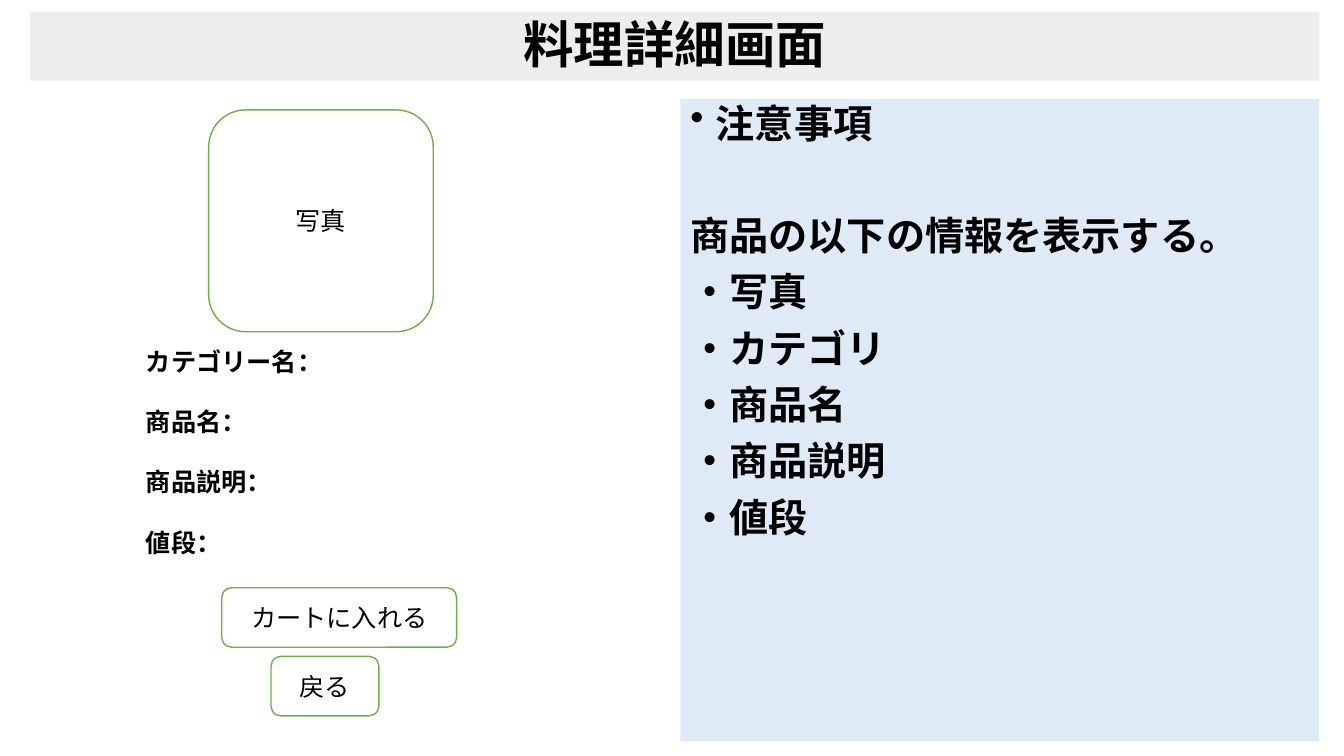
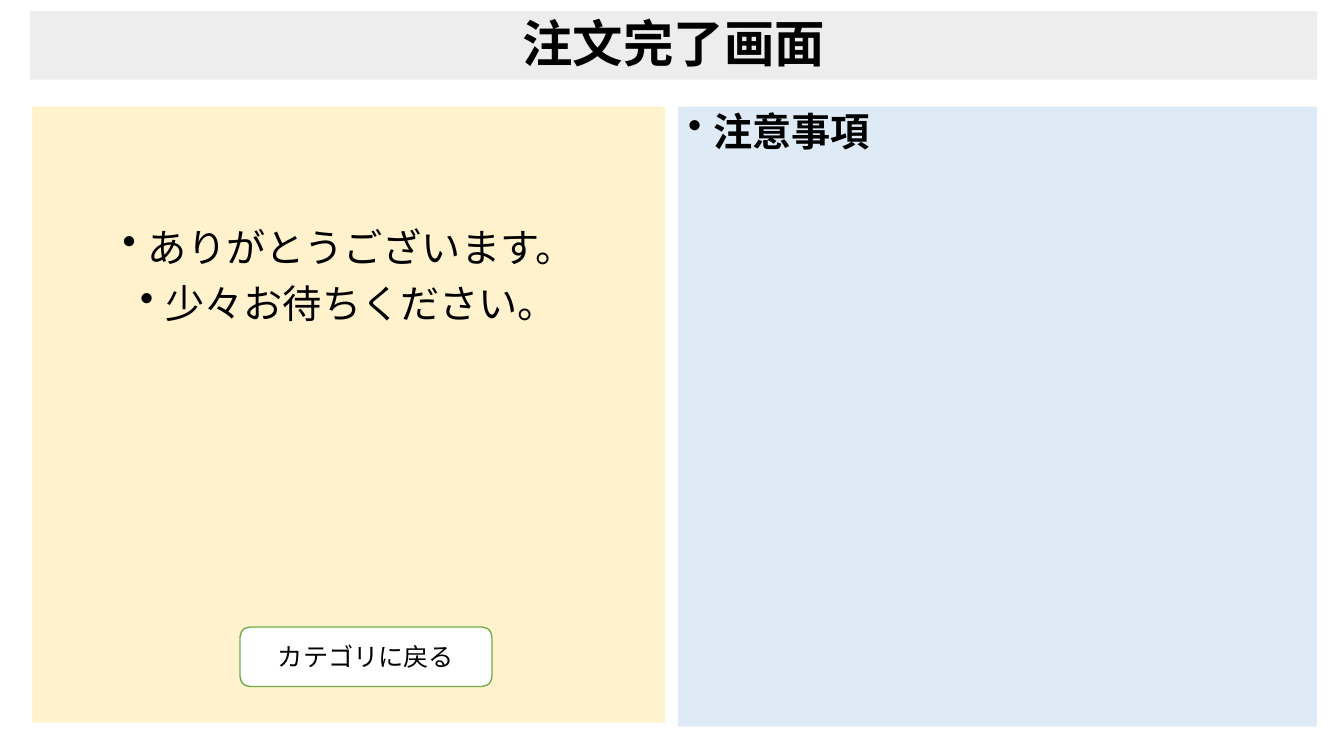
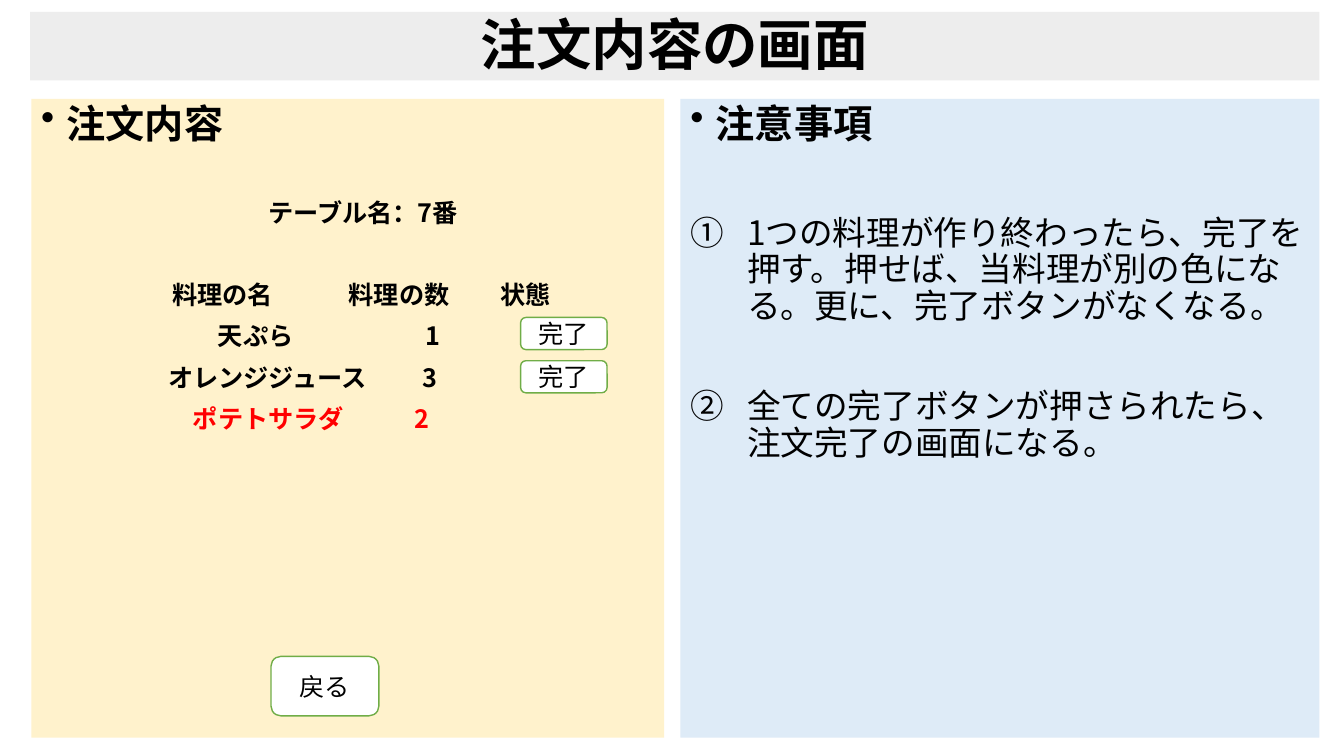
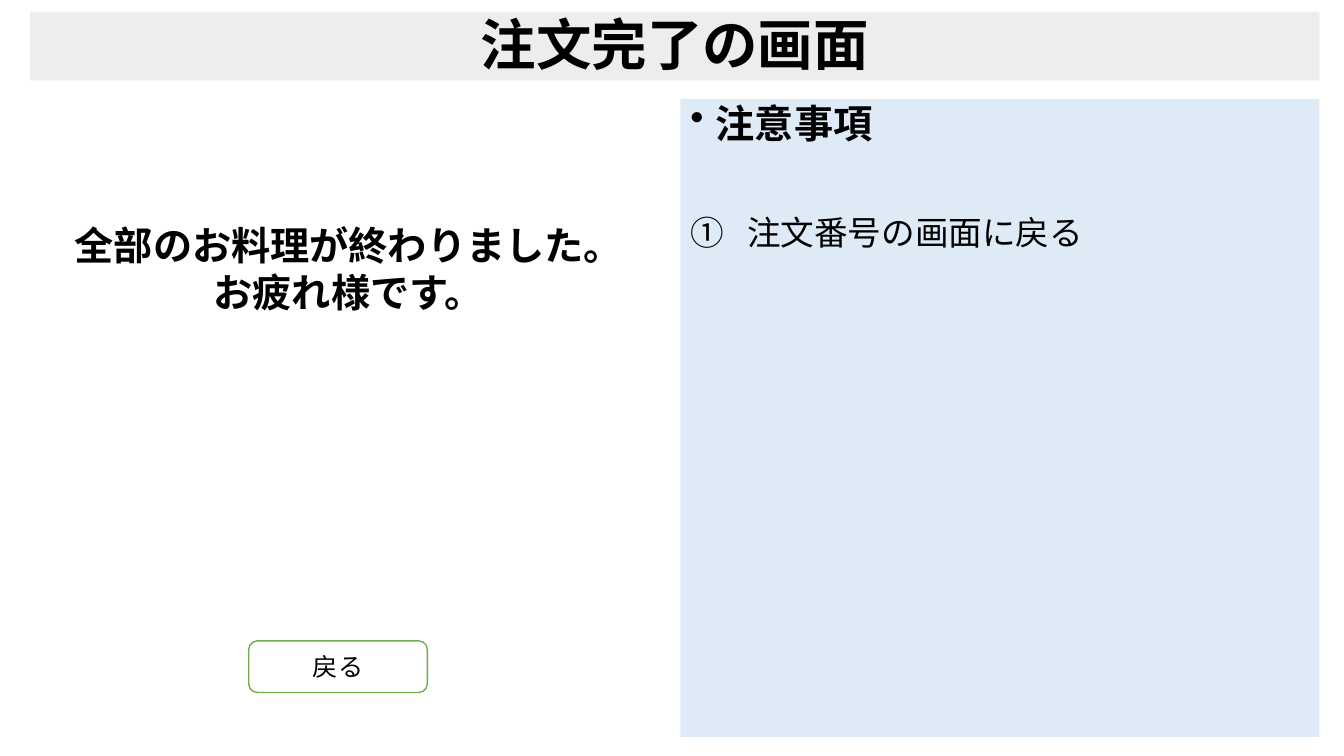
from dataclasses import dataclass

import lxml.etree
import pptx
import pptx.dml.color
import pptx.enum.shapes
import pptx.enum.text
import pptx.oxml.ns
import pptx.shapes.autoshape
import pptx.slide
import pptx.text.text
import pptx.util

Cm = pptx.util.Cm
Pt = pptx.util.Pt
SHAPES = pptx.enum.shapes.MSO_SHAPE
ALIGN = pptx.enum.text.PP_ALIGN
ANCHOR = pptx.enum.text.MSO_ANCHOR
qn = pptx.oxml.ns.qn

# Shared style
FONT = "Noto Sans CJK JP"
COLORS = {
    "text": "000000",
    "alert": "FF0000",
    "white": "FFFFFF",
    "title": "EDEDED",
    "notes": "DEEBF7",
    "content": "FFF2CC",
    "outline": "70AD47",
}
TIGHT, NORMAL = 1.08, 1.2  # line height as a multiple of the font size
PARAGRAPH_GAP = 10
HEADING_GAP = 50
SECTION_GAP = 39
ITEM_GAP = 46
BULLET_INDENT, NUMBER_INDENT = 0.64, 1.43


@dataclass(frozen=True)
class Box:
    """Position and size in centimetres."""
    left: float
    top: float
    width: float
    height: float


@dataclass(frozen=True)
class Line:
    """One paragraph; gap is in points, indent and tabs in centimetres."""
    text: str
    size: float = 28
    bold: bool = False
    color: str = "text"
    gap: float = PARAGRAPH_GAP
    spacing: float = TIGHT
    align: ALIGN = ALIGN.LEFT
    marker: str = ""
    indent: float = 0
    tabs: tuple[float, ...] = ()


@dataclass(frozen=True)
class Button:
    text: str
    box: Box


TITLE_BOX = Box(0.76, 0.3, 32.49, 1.73)
BACK_BUTTON = Button("戻る", Box(6.83, 16.54, 2.72, 1.5))


def rgb(name: str) -> pptx.dml.color.RGBColor:
    return pptx.dml.color.RGBColor.from_string(COLORS[name])


def bullet(text: str, **options) -> Line:
    return Line(text, marker="char", indent=BULLET_INDENT, **options)


def numbered(text: str, gap: float) -> Line:
    return Line(text, size=24, gap=gap, marker="number", indent=NUMBER_INDENT)


def table_row(cells: tuple[str, ...], tabs: tuple[float, ...],
              gap: float = PARAGRAPH_GAP, color: str = "text") -> Line:
    text = "".join(f"\t{cell}" for cell in cells)
    return Line(text, 18, True, color, gap, tabs=tabs)


def format_paragraph(paragraph: pptx.text.text._Paragraph, line: Line) -> None:
    paragraph.text = line.text
    paragraph.alignment = line.align
    paragraph.line_spacing = Pt(line.size * line.spacing)
    paragraph.space_before = Pt(line.gap)
    paragraph.font.size = Pt(line.size)
    paragraph.font.bold = line.bold
    paragraph.font.color.rgb = rgb(line.color)
    paragraph.font.name = FONT

    # East Asian font, indent, marker and tab stops
    properties = paragraph._p.get_or_add_pPr()
    defaults = properties.find(qn("a:defRPr"))
    lxml.etree.SubElement(defaults, qn("a:ea"), typeface=FONT)
    if line.indent:
        properties.set("marL", str(Cm(line.indent)))
        if line.marker:
            properties.set("indent", str(-Cm(line.indent)))
    if line.marker == "char":
        defaults.addprevious(properties.makeelement(qn("a:buChar"), {"char": "•"}))
    elif line.marker == "number":
        defaults.addprevious(
            properties.makeelement(qn("a:buAutoNum"), {"type": "circleNumDbPlain"}))
    if line.tabs:
        stops = properties.makeelement(qn("a:tabLst"), {})
        for position in line.tabs:
            lxml.etree.SubElement(stops, qn("a:tab"), pos=str(Cm(position)), algn="l")
        defaults.addprevious(stops)


def write_lines(frame: pptx.text.text.TextFrame, lines: list[Line]) -> None:
    frame.word_wrap = True
    for index, line in enumerate(lines):
        paragraph = frame.add_paragraph() if index else frame.paragraphs[0]
        format_paragraph(paragraph, line)


def place(box: Box) -> tuple[int, int, int, int]:
    return Cm(box.left), Cm(box.top), Cm(box.width), Cm(box.height)


def add_block(slide: pptx.slide.Slide, box: Box, fill: str, lines: list[Line],
              kind: SHAPES = SHAPES.RECTANGLE,
              anchor: ANCHOR = ANCHOR.TOP) -> pptx.shapes.autoshape.Shape:
    shape = slide.shapes.add_shape(kind, *place(box))
    shape.shadow.inherit = False
    shape.fill.solid()
    shape.fill.fore_color.rgb = rgb(fill)
    shape.line.fill.background()
    shape.text_frame.vertical_anchor = anchor
    write_lines(shape.text_frame, lines)
    return shape


def add_text(slide: pptx.slide.Slide, box: Box, lines: list[Line]) -> None:
    write_lines(slide.shapes.add_textbox(*place(box)).text_frame, lines)


def add_button(slide: pptx.slide.Slide, button: Button) -> None:
    line = Line(button.text, 18, gap=0, spacing=NORMAL, align=ALIGN.CENTER)
    shape = add_block(slide, button.box, "white", [line],
                      SHAPES.ROUNDED_RECTANGLE, ANCHOR.MIDDLE)
    shape.line.color.rgb = rgb("outline")
    shape.line.width = Pt(1)


def add_screen(presentation: pptx.Presentation, title: str, size: float,
               notes_box: Box, notes: list[Line],
               title_box: Box = TITLE_BOX) -> pptx.slide.Slide:
    """Start a slide with its title band and the notes panel."""
    slide = presentation.slides.add_slide(presentation.slide_layouts[6])
    heading = Line(title, size, True, gap=0, align=ALIGN.CENTER)
    add_block(slide, title_box, "title", [heading], anchor=ANCHOR.MIDDLE)
    add_block(slide, notes_box, "notes", [bullet("注意事項", bold=True), *notes])
    return slide


def build_dish_detail(presentation: pptx.Presentation) -> None:
    items = ("写真", "カテゴリ", "商品名", "商品説明", "値段")
    notes = [Line("商品の以下の情報を表示する。", bold=True, gap=HEADING_GAP)]
    notes += [Line(f"・{item}", bold=True) for item in items]
    slide = add_screen(presentation, "料理詳細画面", 36,
                       Box(17.15, 2.49, 16.1, 16.18), notes)
    for button in (
        Button("写真", Box(5.26, 2.77, 5.66, 5.59)),
        Button("カートに入れる", Box(5.59, 14.81, 5.92, 1.5)),
        BACK_BUTTON,
    ):
        add_button(slide, button)
    labels = ("カテゴリー名：", "商品名：", "商品説明：", "値段：")
    add_text(slide, Box(3.43, 8.59, 10.67, 6.4),
             [Line(label, 18, True, gap=21.6, spacing=NORMAL) for label in labels])


def build_order_thanks(presentation: pptx.Presentation) -> None:
    slide = add_screen(presentation, "注文完了画面", 36,
                       Box(17.09, 2.69, 16.1, 15.62), [],
                       Box(0.76, 0.28, 32.44, 1.73))
    messages = ("ありがとうございます。", "少々お待ちください。")
    panel = add_block(slide, Box(0.81, 2.69, 15.95, 15.52), "content",
                      [bullet(message, align=ALIGN.CENTER) for message in messages])
    panel.text_frame.margin_top = Cm(3.05)
    add_button(slide, Button("カテゴリに戻る", Box(6.05, 15.8, 6.35, 1.5)))


def build_order_content(presentation: pptx.Presentation) -> None:
    notes = [
        numbered("1つの料理が作り終わったら、完了を押す。押せば、当料理が別の色になる。"
                 "更に、完了ボタンがなくなる。", HEADING_GAP),
        numbered("全ての完了ボタンが押さられたら、注文完了の画面になる。", ITEM_GAP),
    ]
    slide = add_screen(presentation, "注文内容の画面", 39.6,
                       Box(17.15, 2.49, 16.1, 16.1), notes)
    add_block(slide, Box(0.79, 2.49, 15.95, 16.1), "content", [
        bullet("注文内容", bold=True),
        Line("テーブル名：7番", 18, True, gap=SECTION_GAP, indent=5.72),
        table_row(("料理の名", "料理の数", "状態"), (3.3, 7.75, 11.57), SECTION_GAP),
        table_row(("天ぷら", "1"), (4.45, 9.68)),
        table_row(("オレンジジュース", "3"), (3.2, 9.6)),
        table_row(("ポテトサラダ", "2"), (3.82, 9.4), color="alert"),
    ])
    for top in (8.0, 9.09):
        add_button(slide, Button("完了", Box(13.12, top, 2.18, 0.81)))
    add_button(slide, BACK_BUTTON)


def build_order_finished(presentation: pptx.Presentation) -> None:
    slide = add_screen(presentation, "注文完了の画面", 39.6,
                       Box(17.15, 2.49, 16.1, 16.08),
                       [numbered("注文番号の画面に戻る", HEADING_GAP)])
    messages = ("全部のお料理が終わりました。", "お疲れ様です。")
    add_text(slide, Box(1.27, 5.46, 15.04, 2.64),
             [Line(message, bold=True, gap=0, spacing=NORMAL, align=ALIGN.CENTER)
              for message in messages])
    add_button(slide, Button("戻る", Box(6.27, 16.15, 4.5, 1.3)))


def main() -> None:
    presentation = pptx.Presentation()
    presentation.slide_width = Cm(33.87)
    presentation.slide_height = Cm(19.05)
    build_dish_detail(presentation)
    build_order_thanks(presentation)
    build_order_content(presentation)
    build_order_finished(presentation)
    presentation.save("out.pptx")


if __name__ == "__main__":
    main()
